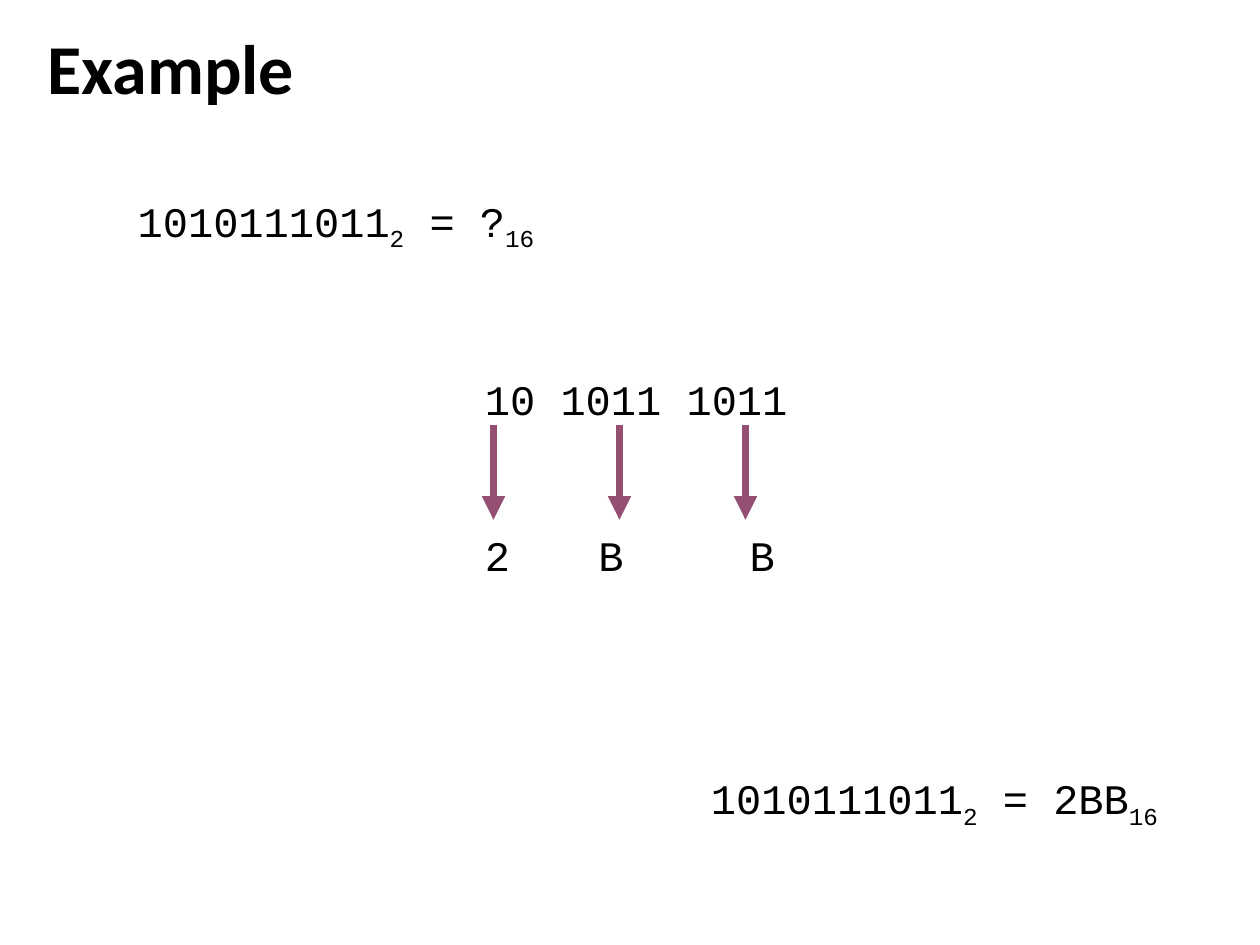
from lxml import etree
from pptx import Presentation
from pptx.dml.color import RGBColor
from pptx.enum.shapes import MSO_CONNECTOR
from pptx.enum.text import MSO_ANCHOR, PP_ALIGN
from pptx.oxml.ns import qn
from pptx.util import Pt

LEFT, CENTER = PP_ALIGN.LEFT, PP_ALIGN.CENTER
MIDDLE = MSO_ANCHOR.MIDDLE
LINE = MSO_CONNECTOR.STRAIGHT
HEX = {"text": "000000", "arrow": "954F72"}
MONO = "Courier New"


def color(name):
    """Return the named colour."""
    return RGBColor.from_string(HEX[name])


def style(run, font, size, bold=False):
    """Format one run."""
    run.font.name, run.font.size, run.font.bold = font, Pt(size), bold
    run.font.color.rgb = color("text")


def put_title(slide, box, text):
    """Move and format the title placeholder."""
    title = slide.shapes.title
    title.left, title.top, title.width, title.height = map(Pt, box)
    frame = title.text_frame
    frame.text = text
    frame.vertical_anchor = MIDDLE
    para = frame.paragraphs[0]
    para.alignment, para.line_spacing = LEFT, 0.9
    style(para.runs[0], "Calibri", 40, True)


def add_frame(slide, box):
    """Add a wrapping text box and return its frame."""
    frame = slide.shapes.add_textbox(*map(Pt, box)).text_frame
    frame.word_wrap = True
    return frame


def add_sum(slide, box, parts):
    """Add a centred equation whose every second part is a subscript."""
    para = add_frame(slide, box).paragraphs[0]
    para.alignment, para.space_before = CENTER, Pt(15)
    for i, part in enumerate(parts):
        run = para.add_run()
        run.text = part
        style(run, MONO, 24)
        if i % 2:
            run.font._element.set("baseline", "-25000")


def add_arrow(slide, x, top, end):
    """Add a downward arrow."""
    line = slide.shapes.add_connector(LINE, Pt(x), Pt(top), Pt(x), Pt(end))
    line.line.width = Pt(4.5)
    line.line.color.rgb = color("arrow")
    etree.SubElement(line.line._get_or_add_ln(), qn("a:tailEnd"), type="triangle")
    etree.SubElement(line._element.spPr, qn("a:effectLst"))


def add_steps(slide, box, bits, digits, stops):
    """Add bit groups, their hex digits at tab stops, and arrows between."""
    left, top = box[:2]
    frame = add_frame(slide, box)
    frame.text = " ".join(bits) + "\n" + "\t".join(digits)
    for para, gap in zip(frame.paragraphs, (15, 60)):
        para.space_before = Pt(gap)
        for run in para.runs:
            style(run, MONO, 24)
    tabs = etree.SubElement(para._p.get_or_add_pPr(), qn("a:tabLst"))
    for stop in stops:
        etree.SubElement(tabs, qn("a:tab"), pos=str(Pt(stop)), algn="l")
    for i in range(len(bits)):
        add_arrow(slide, left + 12 + 72 * i, top + 33, top + 87)


def main():
    """Build the slide and save it."""
    deck = Presentation()
    deck.slide_width, deck.slide_height = Pt(720), Pt(540)
    slide = deck.slides.add_slide(deck.slide_layouts[5])
    put_title(slide, (20, 0, 673, 82), "Example")
    add_sum(slide, (24, 108, 336, 40), ("1010111011", "2", " = ?", "16"))
    add_steps(slide, (270, 210, 336, 127.5), ("10", "1011", "1011"),
              ("2", "B", "B"), (64.8, 151.2))
    add_sum(slide, (366, 438, 336, 40), ("1010111011", "2", " = 2BB", "16"))
    deck.save("out.pptx")


if __name__ == "__main__":
    main()
